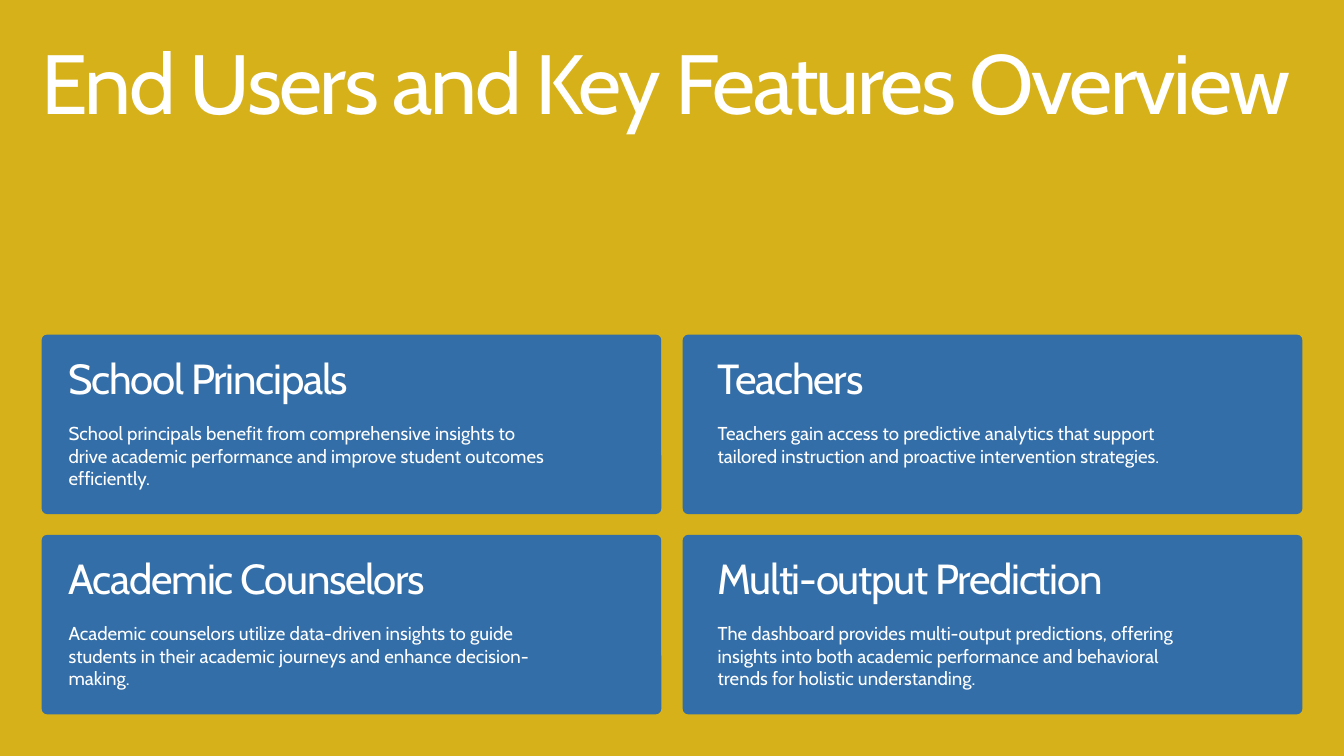
"""Build the slide on end users and key features."""
from dataclasses import dataclass

import pptx
import pptx.dml.color
import pptx.enum.shapes
import pptx.enum.text
import pptx.util

Inches = pptx.util.Inches
Pt = pptx.util.Pt


@dataclass(frozen=True)
class TextStyle:
    size: int
    leading: int
    tracking: float = 0


@dataclass(frozen=True)
class Theme:
    font: str = "Cabin"
    background: str = "D7B119"
    card: str = "336EA8"
    text: str = "FFFFFF"
    title: TextStyle = TextStyle(90, 90, -2.7)
    heading: TextStyle = TextStyle(45, 45, -1.4)
    body: TextStyle = TextStyle(20, 24)


THEME = Theme()
CARD_WIDTH, CARD_HEIGHT = 9.22, 2.67
CARD_LEFTS = (0.62, 10.16)
CARD_TOPS = (4.98, 7.96)
TEXT_LEFTS = (1.02, 10.68)
TEXT_WIDTHS = (7.24, 7.02)
CARDS = (
    (
        ("School Principals",
         "School principals benefit from comprehensive insights to drive academic "
         "performance and improve student outcomes efficiently."),
        ("Teachers",
         "Teachers gain access to predictive analytics that support tailored "
         "instruction and proactive intervention strategies."),
    ),
    (
        ("Academic Counselors",
         "Academic counselors utilize data-driven insights to guide students in "
         "their academic journeys and enhance decision-making."),
        ("Multi-output Prediction",
         "The dashboard provides multi-output predictions, offering insights into "
         "both academic performance and behavioral trends for holistic understanding."),
    ),
)


def paint(fill, color):
    fill.solid()
    fill.fore_color.rgb = pptx.dml.color.RGBColor.from_string(color)


def write_text(box, text, style):
    frame = box.text_frame
    frame.margin_left = frame.margin_right = 0
    frame.margin_top = frame.margin_bottom = 0
    frame.word_wrap = True
    frame.auto_size = pptx.enum.text.MSO_AUTO_SIZE.NONE
    frame.vertical_anchor = pptx.enum.text.MSO_ANCHOR.TOP
    paragraph = frame.paragraphs[0]
    span = paragraph.add_run()
    span.text = text
    if style.tracking:
        span._r.get_or_add_rPr().set("spc", str(round(style.tracking * 100)))
    paragraph.alignment = pptx.enum.text.PP_ALIGN.LEFT
    paragraph.line_spacing = Pt(style.leading)
    paragraph.space_before = Pt(0)
    paragraph.font.name = THEME.font
    paragraph.font.size = Pt(style.size)
    paragraph.font.bold = False
    paragraph.font.color.rgb = pptx.dml.color.RGBColor.from_string(THEME.text)


def add_title(page, text):
    box = page.shapes.title
    box.left, box.top = Inches(0.62), Inches(0.71)
    box.width, box.height = Inches(18.75), Inches(2.57)
    write_text(box, text, THEME.title)


def add_text(page, left, top, width, height, text, style):
    box = page.shapes.add_textbox(
        Inches(left), Inches(top), Inches(width), Inches(height))
    write_text(box, text, style)


def add_panel(page, left, top):
    panel = page.shapes.add_shape(
        pptx.enum.shapes.MSO_SHAPE.ROUNDED_RECTANGLE,
        Inches(left), Inches(top), Inches(CARD_WIDTH), Inches(CARD_HEIGHT))
    panel.adjustments[0] = 0.03
    panel.shadow.inherit = False
    paint(panel.fill, THEME.card)
    panel.line.fill.background()


def add_card(page, row, column, heading, body):
    top = CARD_TOPS[row]
    left, width = TEXT_LEFTS[column], TEXT_WIDTHS[column]
    add_panel(page, CARD_LEFTS[column], top)
    add_text(page, left, top + 0.39, width, 0.69, heading, THEME.heading)
    add_text(page, left, top + 1.3, width, 1.01, body, THEME.body)


def main():
    deck = pptx.Presentation()
    deck.slide_width, deck.slide_height = Inches(20), Inches(11.25)
    page = deck.slides.add_slide(deck.slide_layouts.get_by_name("Title Only"))
    paint(page.background.fill, THEME.background)
    add_title(page, "End Users and Key Features Overview")
    for row, cards in enumerate(CARDS):
        for column, (heading, body) in enumerate(cards):
            add_card(page, row, column, heading, body)
    deck.save("out.pptx")


if __name__ == "__main__":
    main()
